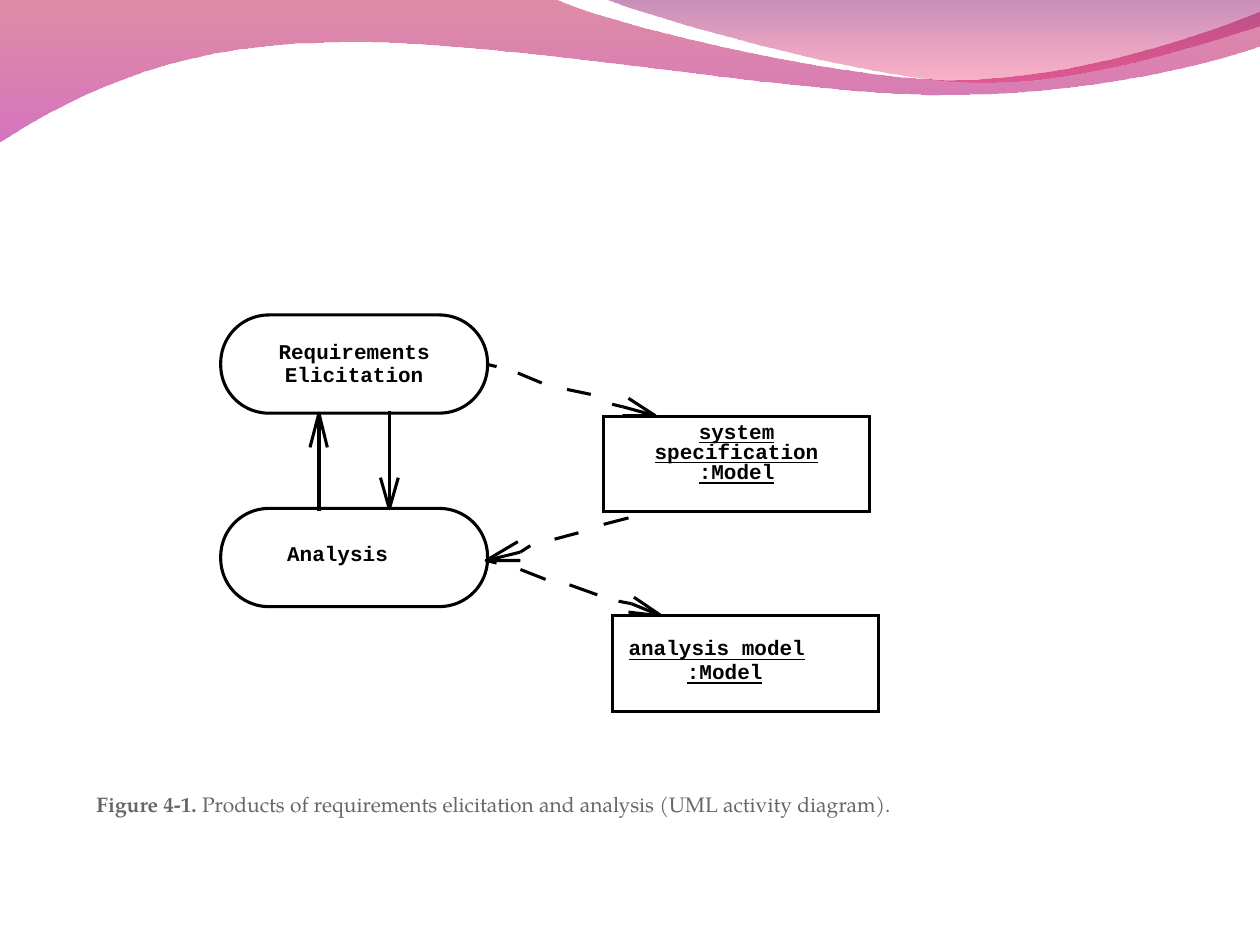
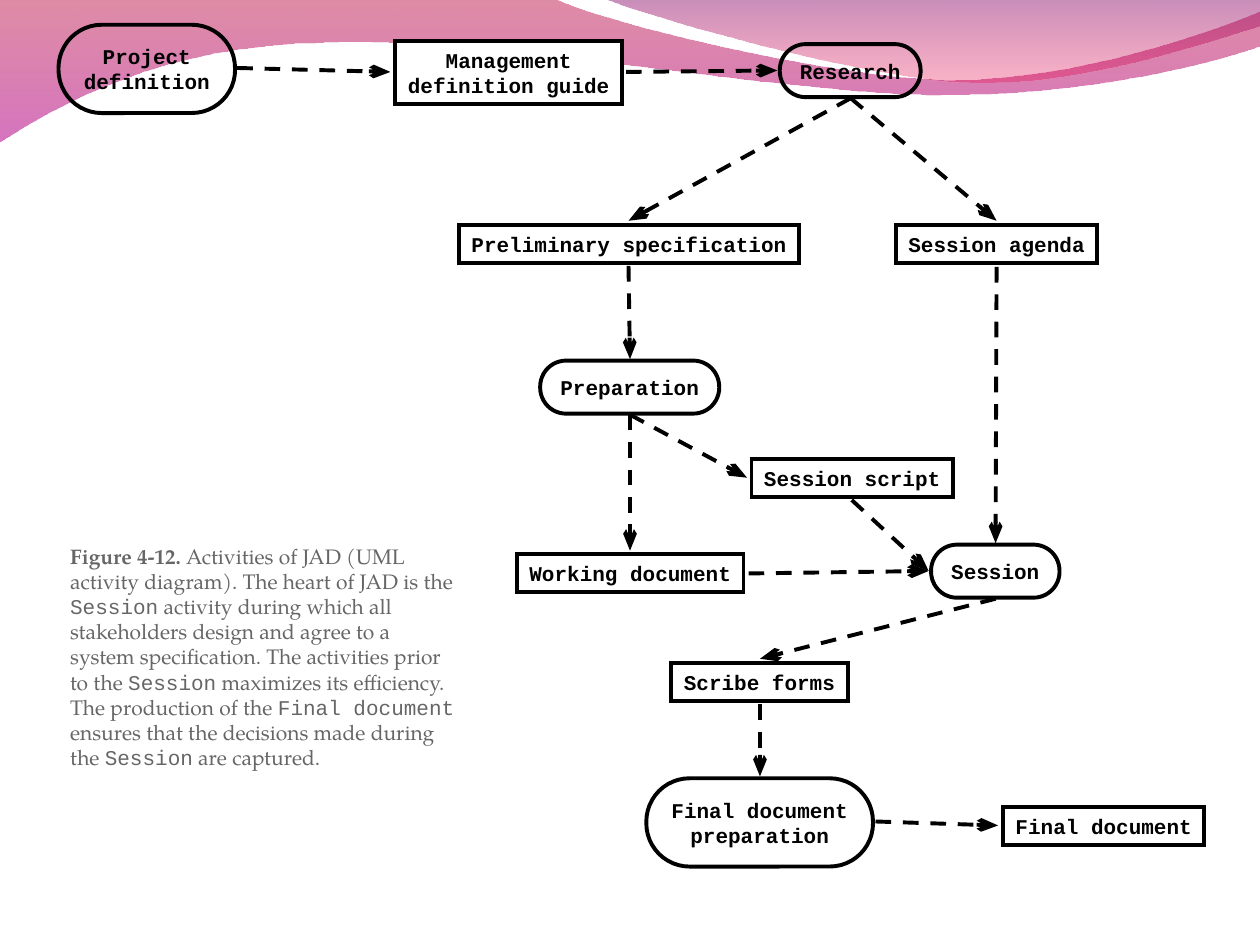
from typing import Any, NamedTuple

from lxml.etree import SubElement as Sub
from pptx import Presentation
from pptx.dml.color import RGBColor as Rgb
from pptx.enum.dml import MSO_LINE_DASH_STYLE as Dash
from pptx.enum.shapes import MSO_CONNECTOR_TYPE as Wire
from pptx.enum.shapes import MSO_SHAPE as Kind
from pptx.enum.text import MSO_ANCHOR as Anchor
from pptx.enum.text import MSO_AUTO_SIZE as Fit
from pptx.enum.text import PP_ALIGN as Align
from pptx.oxml.ns import qn
from pptx.util import Cm, Pt

BLACK = Rgb(0x00, 0x00, 0x00)
WHITE = Rgb(0xFF, 0xFF, 0xFF)
GREY = Rgb(0x66, 0x66, 0x66)
ROSE = Rgb(0xB8, 0x00, 0x3B)
PLUM = Rgb(0xB4, 0x00, 0x8B)
GRAPE = Rgb(0x82, 0x00, 0x66)
RED = Rgb(0xF1, 0x00, 0x44)

MONO = "Courier New"
SERIF = "TeX Gyre Pagella"
BOX, PILL = Kind.RECTANGLE, Kind.ROUNDED_RECTANGLE
THIN, THICK = Pt(1.75), Pt(2.25)

LABEL = {"size": Pt(12), "name": MONO, "bold": True}
FRAME = {"word_wrap": False, "auto_size": Fit.NONE, "vertical_anchor": Anchor.MIDDLE}
BARE = {"margin_left": 0, "margin_right": 0, "margin_top": 0, "margin_bottom": 0}

Point = tuple[float, float]
Place = tuple[float, float, float, float]


class Node(NamedTuple):
    kind: Kind
    place: Place
    text: str = ""


class Label(NamedTuple):
    place: Place
    text: str
    line: bool = False
    space: float = 1.0


class Part(NamedTuple):
    text: str
    face: str = SERIF
    bold: bool = False


class Wave(NamedTuple):
    start: Point
    steps: list[tuple[Point, ...]]
    stops: list[tuple[Rgb, int]]


WAVES = [
    Wave((0, -0.03), [
        ((11.18, -0.03),),
        ((12.09, 0.43), (16.87, 1.6), (19.25, 1.6)),
        ((21.67, 1.6), (24.33, 0.66), (25.4, 0.23)),
        ((25.43, 0.91),),
        ((24.97, 1.12), (22.1, 1.93), (18.95, 1.91)),
        ((15.8, 1.91), (9.7, 0.71), (6.53, 0.86)),
        ((3.28, 0.89), (1.17, 2.11), (-0.03, 2.87)),
        ((0, -0.03),),
    ], [(ROSE, 45), (PLUM, 55)]),
    Wave((12.17, -0.03), [
        ((12.93, 0.28), (17.32, 1.57), (19.53, 1.65)),
        ((21.74, 1.75), (24.41, 0.81), (25.4, 0.53)),
        ((25.4, 0),),
        ((12.17, -0.03),),
    ], [(GRAPE, 45), (RED, 30)]),
]

MODEL_CAPTION = [
    Part("Figure 4-1. ", bold=True),
    Part("Products of requirements elicitation and analysis (UML activity diagram)."),
]
MODEL_NODES = [
    Node(PILL, (4.45, 6.35, 5.38, 1.98)),
    Node(PILL, (4.45, 10.25, 5.38, 1.98)),
    Node(BOX, (12.17, 8.39, 5.36, 1.93)),
    Node(BOX, (12.35, 12.41, 5.36, 1.93)),
]
MODEL_LABELS = [
    Label((5.36, 6.76, 3.56, 1.17), "Requirements\nElicitation", space=0.9),
    Label((5.79, 10.9, 2.03, 0.51), "Analysis"),
    Label((13.2, 8.53, 3.3, 1.22), "system\nspecification\n:Model", True, 0.8),
    Label((12.67, 12.8, 3.56, 0.51), "analysis model", True),
    Label((13.85, 13.28, 1.52, 0.51), ":Model", True),
]
STROKES = [
    (7.85, 8.28, 7.85, 9.63), (7.85, 9.63, 7.85, 10.26),
    (6.43, 10.31, 6.43, 9.02), (6.43, 9.02, 6.43, 8.33),
    (9.8, 7.34, 10.01, 7.39), (10.44, 7.52, 10.92, 7.72),
    (11.43, 7.85, 11.91, 7.95), (12.34, 8.15, 12.55, 8.2),
    (12.55, 8.2, 13.21, 8.38), (13.34, 10.26, 13.11, 10.31),
    (12.67, 10.44, 12.17, 10.57), (11.66, 10.74, 11.18, 10.87),
    (10.69, 11, 10.49, 11.13), (10.49, 11.13, 9.8, 11.3),
    (9.8, 11.3, 10.01, 11.35), (10.49, 11.48, 11, 11.68),
    (11.48, 11.79, 12.04, 11.99), (12.47, 12.12, 12.73, 12.17),
    (12.73, 12.17, 13.34, 12.42),
]
HEADS = [
    [(8.03, 9.63), (7.85, 10.26), (7.67, 9.63)],
    [(6.25, 9.02), (6.43, 8.33), (6.6, 9.02)],
    [(12.67, 8.03), (13.21, 8.38), (12.55, 8.38)],
    [(10.49, 11.3), (9.8, 11.3), (10.44, 10.92)],
    [(12.78, 12.04), (13.34, 12.42), (12.67, 12.34)],
]

JAD_CAPTION = [
    Part("Figure 4-12.", bold=True),
    Part(" Activities of JAD (UML activity diagram). The heart of JAD is the "),
    Part("Session", MONO),
    Part(" activity during which all stakeholders design and agree to a system "
         "specification. The activities prior to the "),
    Part("Session", MONO),
    Part(" maximizes its efficiency. The production of the "),
    Part("Final document", MONO),
    Part(" ensures that the decisions made during the "),
    Part("Session", MONO),
    Part(" are captured."),
]
JAD_NODES = [
    Node(BOX, (7.97, 0.82, 4.57, 1.28), "Management\ndefinition guide"),
    Node(PILL, (1.18, 0.5, 3.56, 1.78), "Project\ndefinition"),
    Node(PILL, (15.72, 0.89, 2.84, 1.07), "Research"),
    Node(PILL, (10.89, 7.27, 3.61, 1.07), "Preparation"),
    Node(PILL, (18.77, 10.98, 2.59, 1.07), "Session"),
    Node(BOX, (18.06, 4.53, 4.06, 0.77), "Session agenda"),
    Node(BOX, (9.25, 4.53, 6.86, 0.77), "Preliminary specification"),
    Node(BOX, (10.42, 11.17, 4.57, 0.77), "Working document"),
    Node(BOX, (15.15, 9.25, 4.06, 0.77), "Session script"),
    Node(BOX, (13.53, 13.37, 3.56, 0.77), "Scribe forms"),
    Node(PILL, (13.03, 15.69, 4.57, 1.78), "Final document\npreparation"),
    Node(BOX, (20.22, 16.27, 4.06, 0.77), "Final document"),
]
JAD_LINKS = [
    (4.78, 1.37, 7.87, 1.45), (12.62, 1.45, 15.67, 1.42),
    (17.15, 1.98, 12.67, 4.45), (17.15, 1.98, 20.09, 4.45),
    (12.67, 5.36, 12.7, 7.24), (12.7, 8.36, 15.06, 9.63),
    (12.7, 8.36, 12.7, 11.1), (20.09, 5.38, 20.07, 10.95),
    (17.17, 10.08, 18.72, 11.51), (15.09, 11.56, 18.72, 11.51),
    (20.07, 12.07, 15.32, 13.28), (15.32, 14.2, 15.32, 15.65),
    (17.65, 16.56, 20.12, 16.64),
]


def put(item: Any, vals: dict[str, Any]) -> None:
    for key, val in vals.items():
        setattr(item, key, val)


def scale(vals: tuple[float, ...]) -> list[int]:
    return [Cm(val) for val in vals]


def ink(line: Any, width: int) -> None:
    line.color.rgb = BLACK
    line.width = width


def tag(shape: Any, name: str, **vals: str) -> None:
    Sub(shape.element.spPr.get_or_add_ln(), qn(name), **vals)


def trace(slide: Any, pts: list[Point], close: bool) -> Any:
    pen = slide.shapes.build_freeform(*scale(pts[0]))
    pen.add_line_segments([scale(pt) for pt in pts[1:]], close=close)
    shape = pen.convert_to_shape()
    shape.shadow.inherit = False
    return shape


def bend(shape: Any, steps: list[tuple[Point, ...]]) -> None:
    legs = iter(list(shape.element.iter(qn("a:lnTo"))))
    for step in steps:
        group = [next(legs) for _ in step]
        if len(group) == 3:
            curve = group[0].makeelement(qn("a:cubicBezTo"))
            group[0].addprevious(curve)
            for leg in group:
                curve.append(leg[0])
                leg.getparent().remove(leg)


def draw_wave(slide: Any, wave: Wave) -> Any:
    pts = [wave.start] + [pt for step in wave.steps for pt in step]
    shape = trace(slide, pts, True)
    bend(shape, wave.steps)
    shape.line.fill.background()
    shape.fill.gradient()
    shape.fill.gradient_angle = 270
    for stop, (tone, _) in zip(shape.fill.gradient_stops, wave.stops):
        stop.color.rgb = tone
    for mark, (_, part) in zip(shape.element.iter(qn("a:srgbClr")), wave.stops):
        Sub(mark, qn("a:alpha"), val=str(part * 1000))
    return shape


def draw_head(slide: Any, pts: list[Point]) -> None:
    shape = trace(slide, pts, False)
    shape.fill.background()
    ink(shape.line, THIN)


def draw_line(slide: Any, ends: Place, width: int, arrow: bool = False) -> None:
    wire = slide.shapes.add_connector(Wire.STRAIGHT, *scale(ends))
    ink(wire.line, width)
    if arrow:
        wire.line.dash_style = Dash.DASH
        tag(wire, "a:miter", lim="800000")
        tag(wire, "a:tailEnd", type="arrow", w="med", len="lg")
    Sub(wire.element.spPr, qn("a:effectLst"))


def fill_text(frame: Any, text: str, space: float = 1.0, under: bool = False) -> None:
    put(frame, {**FRAME, **BARE})
    frame.text = text
    for para in frame.paragraphs:
        put(para, {"alignment": Align.CENTER, "line_spacing": space})
        put(para.runs[0].font, {**LABEL, "underline": under})
        para.runs[0].font.color.rgb = BLACK


def draw_node(slide: Any, node: Node, width: int) -> None:
    shape = slide.shapes.add_shape(node.kind, *scale(node.place))
    shape.shadow.inherit = False
    ink(shape.line, width)
    if node.kind == PILL:
        shape.adjustments[0] = 0.49
        shape.fill.background()
    else:
        shape.fill.solid()
        shape.fill.fore_color.rgb = WHITE
        tag(shape, "a:miter", lim="800000")
    if node.text:
        fill_text(shape.text_frame, node.text)


def draw_label(slide: Any, label: Label) -> None:
    box = slide.shapes.add_textbox(*scale(label.place))
    fill_text(box.text_frame, label.text, label.space, label.line)


def add_slide(deck: Any, place: Place, parts: list[Part]) -> Any:
    slide = deck.slides.add_slide(deck.slide_layouts[5])
    title = slide.shapes.title
    put(title, dict(zip(("left", "top", "width", "height"), scale(place))))
    put(title.text_frame, {**FRAME, "word_wrap": True})
    para = title.text_frame.paragraphs[0]
    para.alignment = Align.LEFT
    for part in parts:
        run = para.add_run()
        run.text = part.text
        put(run.font, {"size": Pt(12), "name": part.face, "bold": part.bold})
        run.font.color.rgb = GREY
    return slide


def main() -> None:
    deck = Presentation()
    put(deck, {"slide_width": Cm(25.4), "slide_height": Cm(19.05)})

    model = add_slide(deck, (1.69, 15.24, 22.66, 1.96), MODEL_CAPTION)
    for spot, wave in enumerate(WAVES, 2):
        deck.slide_master.shapes.element.insert(spot, draw_wave(model, wave).element)
    for ends in STROKES:
        draw_line(model, ends, THIN)
    for pts in HEADS:
        draw_head(model, pts)
    for node in MODEL_NODES:
        draw_node(model, node, THIN)
    for label in MODEL_LABELS:
        draw_label(model, label)

    jad = add_slide(deck, (1.16, 9.21, 8.33, 8.05), JAD_CAPTION)
    for node in JAD_NODES:
        draw_node(jad, node, THICK)
    for ends in JAD_LINKS:
        draw_line(jad, ends, THICK, True)

    deck.save("out.pptx")


if __name__ == "__main__":
    main()
